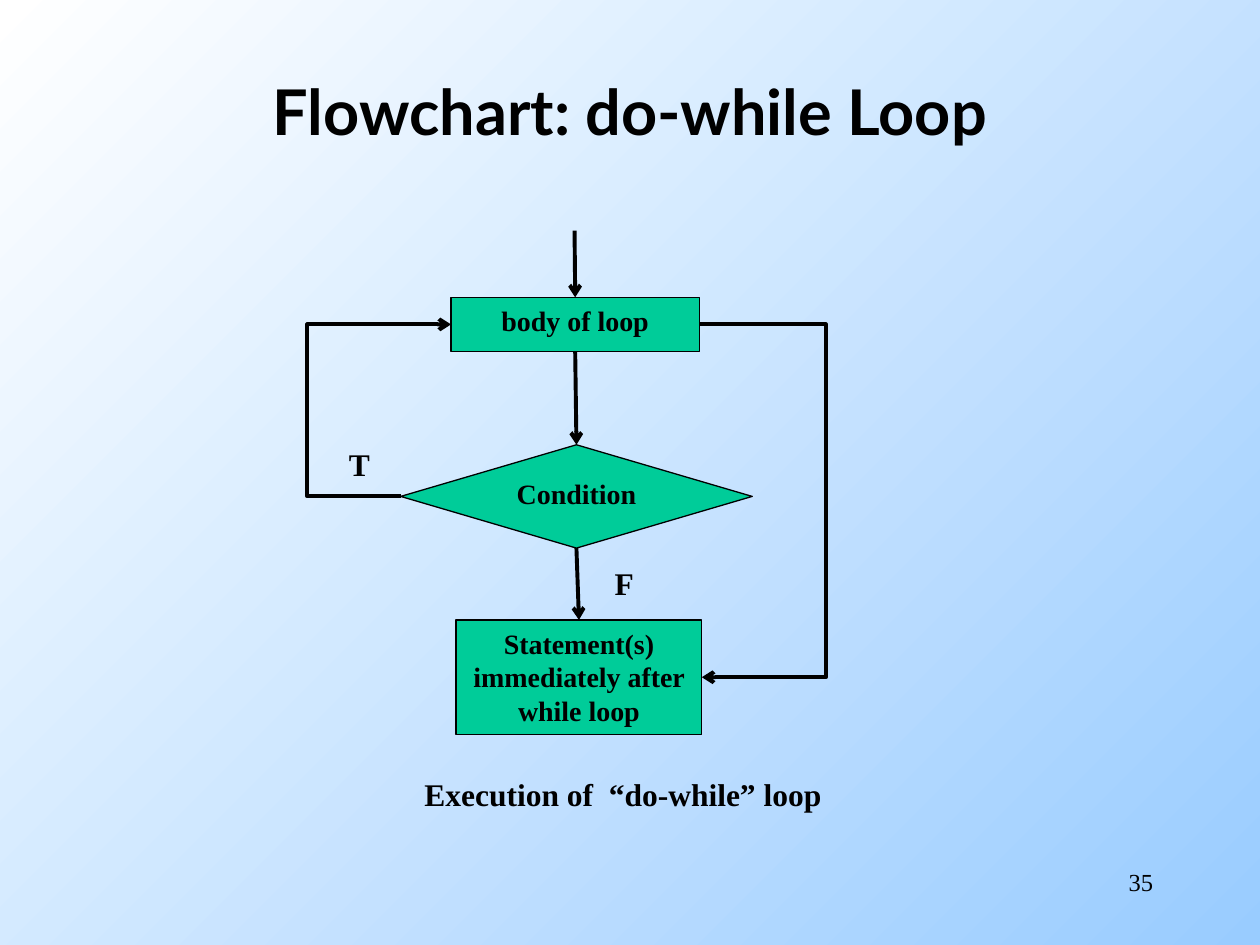
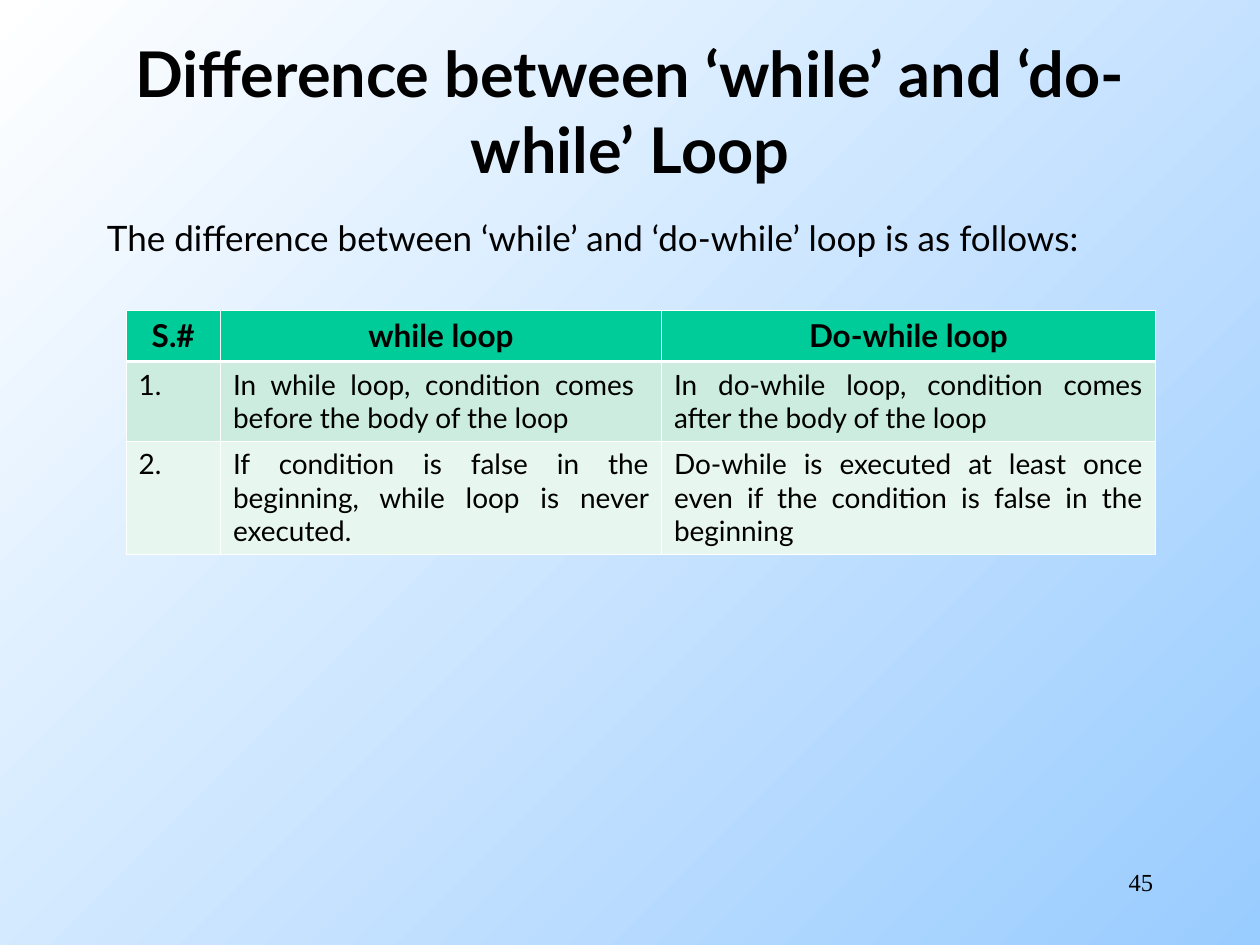
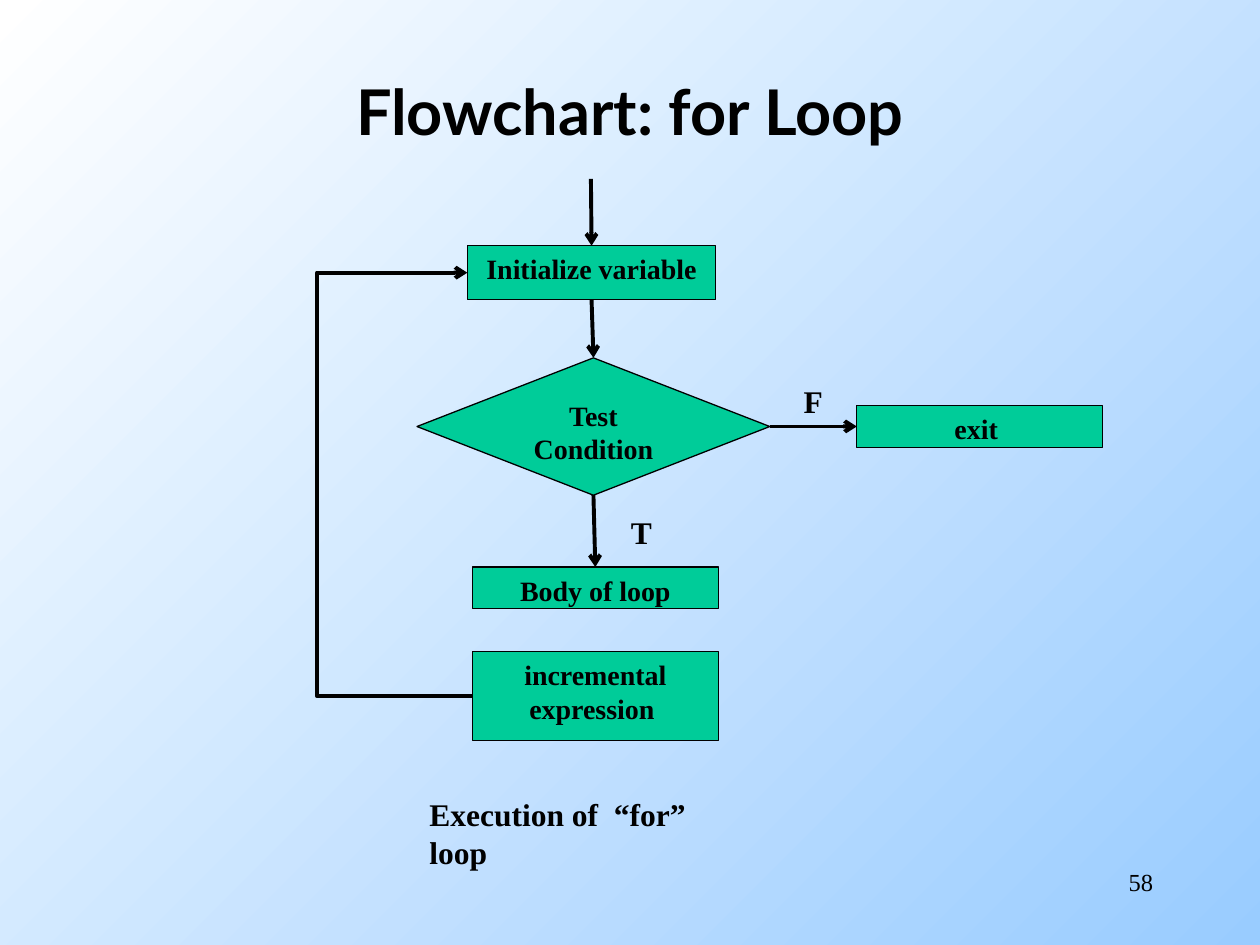
from dataclasses import dataclass

from lxml import etree
from pptx import Presentation
from pptx.dml.color import RGBColor
from pptx.enum.shapes import MSO_CONNECTOR as Connector, MSO_SHAPE as Preset
from pptx.enum.text import MSO_ANCHOR as Anchor, MSO_AUTO_SIZE as AutoSize, PP_ALIGN as Align
from pptx.oxml import parse_xml
from pptx.oxml.ns import nsdecls, qn
from pptx.util import Inches, Pt

UNIT = 0.1
COLUMNS, ROWS = 100, 75
SANS, SERIF = "Lato", "Times New Roman"
BLACK, WHITE, SKY, GREEN = "000000", "FFFFFF", "99CCFF", "00CC99"
BAND_FILLS = ("CBECDE", "E7F6EF")
TOP, LEFT, BOTTOM, RIGHT = range(4)


@dataclass
class Box:
    """A region of the slide in grid columns and rows."""

    left: float
    top: float
    width: float = 0
    height: float = 0

    def inside(self, left, top, width=0, height=0):
        """Return a box placed relative to this one."""
        return Box(self.left + left, self.top + top, width, height)

    def lengths(self):
        """Return left, top, width and height as slide lengths."""
        return [grid(value) for value in (self.left, self.top, self.width, self.height)]


TITLE_BOX = Box(7.5, 2.5, 85, 12.5)
NUMBER_BOX = Box(71.7, 68.3, 20.8, 5)
INTRO_BOX = Box(7.5, 15, 87.5, 47.5)
TABLE_BOX = Box(10, 24.6, 81.7, 19.4)


def grid(units):
    """Convert grid units to a slide length."""
    return Inches(round(units * UNIT, 3))


def color(value):
    """Turn a hex string into a colour."""
    return RGBColor.from_string(value)


def write(frame, text, size, font=SERIF, bold=False, align=Align.LEFT, spacing=None):
    """Fill a text frame with one paragraph per line of text."""
    for index, line in enumerate(text.split("\n")):
        paragraph = frame.paragraphs[0] if index == 0 else frame.add_paragraph()
        paragraph.alignment = align
        if spacing:
            paragraph.line_spacing = spacing
        run = paragraph.add_run()
        run.text = line
        run.font.name, run.font.size, run.font.bold = font, Pt(size), bold
        run.font.color.rgb = color(BLACK)


def add_text(slide, box, text, size, wrap=True, **style):
    """Add a text box, which grows with its text when it does not wrap."""
    frame = slide.shapes.add_textbox(*box.lengths()).text_frame
    frame.word_wrap = wrap
    frame.auto_size = AutoSize.NONE if wrap else AutoSize.SHAPE_TO_FIT_TEXT
    write(frame, text, size, **style)


def add_label(slide, box, text):
    """Add a bold flowchart label."""
    add_text(slide, box, text, 18, wrap=False, bold=True)


def set_background(presentation):
    """Give the master its diagonal gradient."""
    fill = presentation.slide_master.background.fill
    fill.gradient()
    fill.gradient_angle = 315
    for stop, value in zip(fill.gradient_stops, (WHITE, SKY)):
        stop.color.rgb = color(value)


def add_slide(presentation, title, number):
    """Add a slide with its title and slide number."""
    slide = presentation.slides.add_slide(presentation.slide_layouts[5])
    heading = slide.shapes.title
    heading.left, heading.top, heading.width, heading.height = TITLE_BOX.lengths()
    frame = heading.text_frame
    frame.word_wrap, frame.auto_size = True, AutoSize.NONE
    frame.vertical_anchor = Anchor.MIDDLE
    write(frame, title, 36, font=SANS, bold=True, align=Align.CENTER)
    add_text(slide, NUMBER_BOX, number, 14, align=Align.RIGHT)
    return slide


def add_node(slide, box, text, preset=Preset.RECTANGLE):
    """Add a green flowchart node."""
    node = slide.shapes.add_shape(preset, *box.lengths())
    node.shadow.inherit = False
    node.fill.solid()
    node.fill.fore_color.rgb = color(GREEN)
    node.line.color.rgb = color(BLACK)
    node.line.width = Pt(0.75)
    node.text_frame.word_wrap = True
    node.text_frame.vertical_anchor = Anchor.TOP
    write(node.text_frame, text, 16, bold=True, align=Align.CENTER)
    return node


def style_arrow(connector):
    """Draw a connector as a black arrow without shadow."""
    connector.line.color.rgb = color(BLACK)
    connector.line.width = Pt(2.25)
    line = connector.line._get_or_add_ln()
    etree.SubElement(line, qn("a:tailEnd"), type="arrow")
    etree.SubElement(connector._element.spPr, qn("a:effectLst"))


def link(slide, source, source_side, target, target_side, kind=Connector.STRAIGHT):
    """Join two nodes with an arrow."""
    connector = slide.shapes.add_connector(kind, 0, 0, 0, 0)
    connector.begin_connect(source, source_side)
    connector.end_connect(target, target_side)
    style_arrow(connector)
    return connector


def detour(slide, source, target, side, turn):
    """Join the same side of two nodes with an arrow that turns at a column."""
    connector = link(slide, source, side, target, side, Connector.ELBOW)
    span = connector.end_x - connector.begin_x
    share = round((grid(turn) - connector.begin_x) / span * 100000)
    guides = connector._element.spPr.find(qn("a:prstGeom")).get_or_add_avLst()
    etree.SubElement(guides, qn("a:gd"), name="adj1", fmla=f"val {share}")


def flow_spine(slide, box, start_text, test_text, test_box, next_text, next_box):
    """Draw the entry arrow and the three nodes that follow each other."""
    start = add_node(slide, box.inside(4, 5.3, 19.7, 4.3), start_text)
    test = add_node(slide, test_box, test_text, Preset.FLOWCHART_DECISION)
    following = add_node(slide, next_box, next_text)
    entry = box.inside(13.8, 0)
    connector = slide.shapes.add_connector(
        Connector.STRAIGHT, grid(entry.left), grid(entry.top), 0, 0)
    connector.end_connect(start, TOP)
    style_arrow(connector)
    link(slide, start, BOTTOM, test, TOP)
    link(slide, test, BOTTOM, following, TOP)
    return start, test, following


def do_while_flowchart(slide, box):
    """Draw the flow of a do-while loop."""
    body, condition, after = flow_spine(
        slide, box, "body of loop",
        "Condition", box.inside(0, 17, 27.9, 8.2),
        "Statement(s) immediately after while loop", box.inside(4.4, 30.9, 19.5, 9.1))
    detour(slide, condition, body, LEFT, box.left - 7.4)
    detour(slide, body, after, RIGHT, box.left + 33.7)
    add_label(slide, box.inside(-5.1, 16.5, 3.6, 4), "T")
    add_label(slide, box.inside(16, 26, 3.5, 4), "F")
    add_label(slide, box.inside(0.9, 42.7, 33.5, 4), "Execution of  “do-while” loop")


def for_flowchart(slide, box):
    """Draw the flow of a for loop."""
    start, test, _ = flow_spine(
        slide, box, "Initialize variable",
        "Test\nCondition", box.inside(0, 14.2, 28, 10.9),
        "Body of loop", box.inside(4.4, 30.8, 19.5, 3.3))
    increment = add_node(slide, box.inside(4.4, 37.5, 19.5, 7.1), "incremental expression ")
    leave = add_node(slide, box.inside(34.9, 18, 19.5, 3.3), "exit ")
    link(slide, test, RIGHT, leave, LEFT)
    detour(slide, increment, start, LEFT, box.left - 7.9)
    add_label(slide, box.inside(29.7, 15.6, 3.5, 4), "F")
    add_label(slide, box.inside(16, 26, 3.6, 4), "T")
    add_label(slide, box.inside(0, 48.4, 27.5, 4), "Execution of  “for” loop")


def set_borders(cell, top, bottom):
    """Give a cell white borders of the given widths in points."""
    properties = cell._tc.get_or_add_tcPr()
    widths = {"lnL": 0.45, "lnR": 0.45, "lnT": top, "lnB": bottom}
    for index, (side, width) in enumerate(widths.items()):
        properties.insert(index, parse_xml(
            f'<a:{side} {nsdecls("a")} w="{Pt(width)}"><a:solidFill>'
            f'<a:srgbClr val="{WHITE}"/></a:solidFill></a:{side}>'))


def comparison_table(slide, box):
    """Draw the table that compares the two loops."""
    rows = [
        ("S.#", "while loop", "Do-while loop"),
        ("1.", "In while loop, condition comes  before the body of the loop",
         "In do-while loop, condition comes after the body of the loop"),
        ("2.", "If condition is false in the beginning, while loop is never executed.",
         "Do-while is executed at least once even if the condition is false in the beginning"),
    ]
    table = slide.shapes.add_table(len(rows), len(rows[0]), *box.lengths()).table
    for column, width in zip(table.columns, (7.5, 35, 39.2)):
        column.width = grid(width)
    for row, height in zip(table.rows, (4.1, 6.3, 9)):
        row.height = grid(height)
    for row_index, texts in enumerate(rows):
        header = row_index == 0
        for column_index, text in enumerate(texts):
            cell = table.cell(row_index, column_index)
            cell.fill.solid()
            cell.fill.fore_color.rgb = color(GREEN if header else BAND_FILLS[row_index - 1])
            set_borders(cell, 1.47 if row_index == 1 else 0.45, 1.47 if header else 0.45)
            write(cell.text_frame, text, 18 if header else 16, font=SANS, bold=header,
                  align=Align.CENTER if header else Align.JUSTIFY)


def main():
    """Build the three slides."""
    presentation = Presentation()
    presentation.slide_width, presentation.slide_height = grid(COLUMNS), grid(ROWS)
    set_background(presentation)

    slide = add_slide(presentation, "Flowchart: do-while Loop", "35")
    do_while_flowchart(slide, Box(31.8, 18.3))

    slide = add_slide(presentation, "Difference between ‘while’ and ‘do-while’ Loop", "45")
    add_text(slide, INTRO_BOX, "The difference between ‘while’ and ‘do-while’ loop is as follows:",
             20, font=SANS, align=Align.JUSTIFY, spacing=1.5)
    comparison_table(slide, TABLE_BOX)

    slide = add_slide(presentation, "Flowchart: for Loop", "58")
    for_flowchart(slide, Box(33.1, 14.2))

    presentation.save("out.pptx")


if __name__ == "__main__":
    main()
